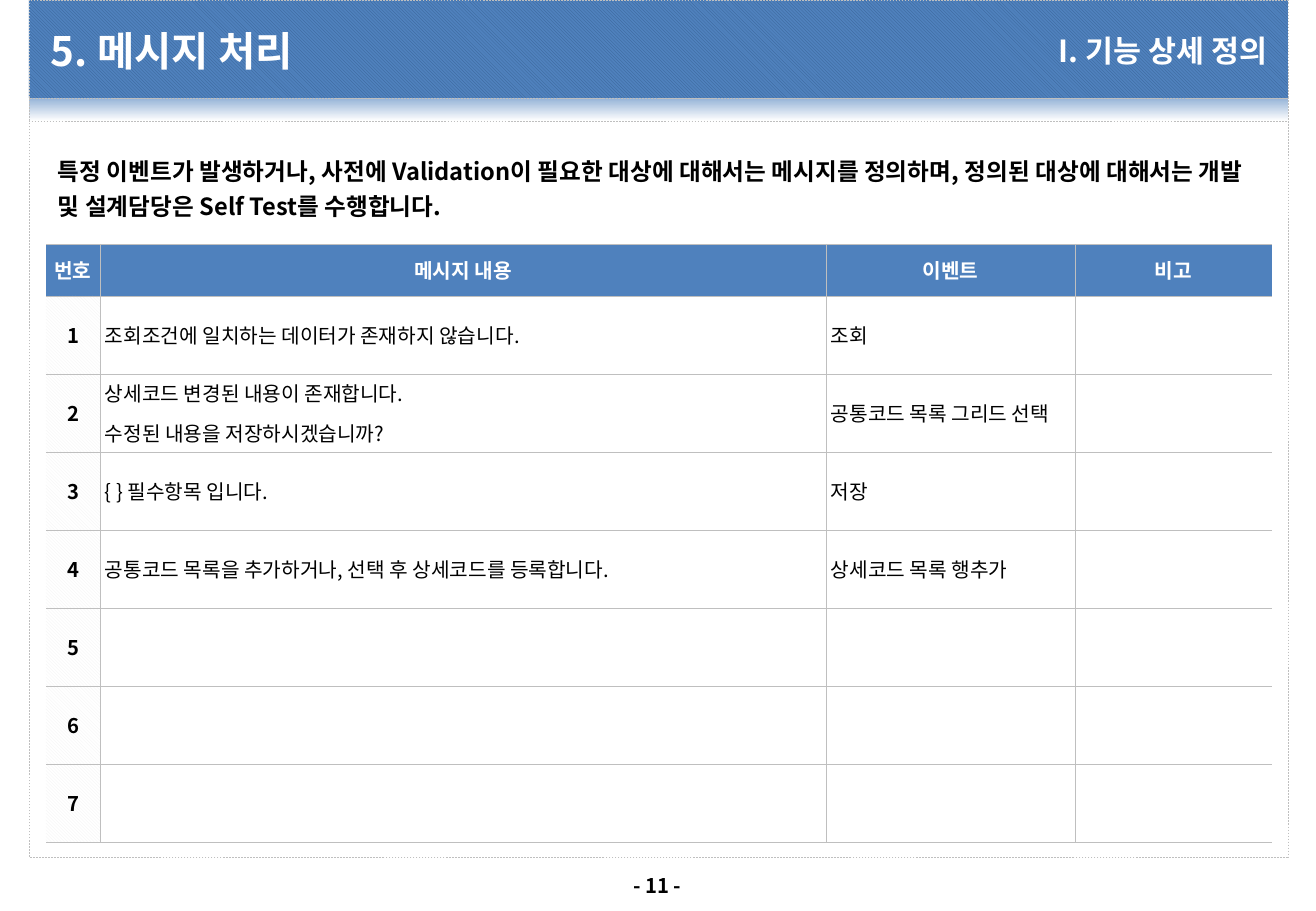
from lxml.etree import SubElement
from pptx import Presentation
from pptx.dml.color import RGBColor
from pptx.enum.dml import MSO_LINE, MSO_PATTERN
from pptx.enum.shapes import MSO_SHAPE
from pptx.enum.text import MSO_ANCHOR, PP_ALIGN
from pptx.oxml.ns import qn
from pptx.util import Pt

# Content
TITLE = "5. 메시지 처리"
CHAPTER = "I. 기능 상세 정의"
INTRO = ("특정 이벤트가 발생하거나, 사전에 Validation이 필요한 대상에 대해서는 메시지를 정의하며, "
         "정의된 대상에 대해서는 개발 및 설계담당은 Self Test를 수행합니다.")
PAGE_NUMBER = "- 11 -"
HEADINGS = ("번호", "메시지 내용", "이벤트", "비고")
MESSAGES = [
    ("조회조건에 일치하는 데이터가 존재하지 않습니다.", "조회"),
    ("상세코드 변경된 내용이 존재합니다.\n수정된 내용을 저장하시겠습니까?", "공통코드 목록 그리드 선택"),
    ("{ } 필수항목 입니다.", "저장"),
    ("공통코드 목록을 추가하거나, 선택 후 상세코드를 등록합니다.", "상세코드 목록 행추가"),
    ("", ""),
    ("", ""),
    ("", ""),
]

# Style
FONT = "Noto Sans CJK KR"
WHITE = RGBColor(0xFF, 0xFF, 0xFF)
BLACK = RGBColor(0, 0, 0)
BLUE = RGBColor(0x4F, 0x81, 0xBD)
DARK_BLUE = RGBColor(0x37, 0x60, 0x92)
PALE_BLUE = RGBColor(0x95, 0xB3, 0xD7)
GRAY = RGBColor(0xBF, 0xBF, 0xBF)
PALE_GRAY = RGBColor(0xF2, 0xF2, 0xF2)
HAIRLINE = Pt(0.25)

# Layout in pixels
SLIDE_WIDTH, SLIDE_HEIGHT = 1316, 911
FRAME_LEFT, FRAME_WIDTH = 29, 1259
BAND_BOTTOM, SHADE_BOTTOM, FRAME_BOTTOM = 98, 121, 857
CONTENT_LEFT, CONTENT_TOP = 46, 141
COLUMN_WIDTHS = (54, 726, 249, 197)
CONTENT_WIDTH = sum(COLUMN_WIDTHS)
TABLE_TOP, HEADING_HEIGHT, ROW_HEIGHT = 244, 52, 78
INSET = 5


def px(pixels):
    return round(pixels * 914400 / 121.5)


def fill_pattern(fill, fore, back):
    fill.patterned()
    fill.pattern = MSO_PATTERN.LIGHT_DOWNWARD_DIAGONAL
    fill.fore_color.rgb = fore
    fill.back_color.rgb = back


def fill_solid(fill, color):
    fill.solid()
    fill.fore_color.rgb = color


def write(frame, text, size, color, bold=True, align=PP_ALIGN.LEFT):
    frame.text = text
    for paragraph in frame.paragraphs:
        paragraph.alignment = align
        for run in paragraph.runs:
            run.font.name = FONT
            run.font.size = Pt(size)
            run.font.bold = bold
            run.font.color.rgb = color
            SubElement(run.font._element, qn("a:ea"), typeface=FONT)


def add_panel(top, bottom):
    panel = slide.shapes.add_shape(MSO_SHAPE.RECTANGLE, px(FRAME_LEFT), px(top),
                                   px(FRAME_WIDTH), px(bottom - top))
    panel.shadow.inherit = False
    panel.line.color.rgb = GRAY
    panel.line.width = HAIRLINE
    panel.line.dash_style = MSO_LINE.DASH
    return panel


def add_text(box, text, size, color, align=PP_ALIGN.LEFT,
             margins=(INSET, INSET), anchor=MSO_ANCHOR.MIDDLE):
    frame = slide.shapes.add_textbox(*map(px, box)).text_frame
    frame.word_wrap = True
    frame.vertical_anchor = anchor
    frame.margin_left = frame.margin_right = px(margins[0])
    frame.margin_top = frame.margin_bottom = px(margins[1])
    write(frame, text, size, color, align=align)
    return frame


def set_borders(cell, column):
    """Rule every side except the outer left and right of the table."""
    hidden = {0: "L", len(HEADINGS) - 1: "R"}.get(column)
    properties = cell._tc.get_or_add_tcPr()
    for side in "LRTB":
        border = SubElement(properties, qn(f"a:ln{side}"), w=str(HAIRLINE))
        if side == hidden:
            SubElement(border, qn("a:noFill"))
        else:
            paint = SubElement(border, qn("a:solidFill"))
            SubElement(paint, qn("a:srgbClr"), val=str(GRAY))


presentation = Presentation()
presentation.slide_width = px(SLIDE_WIDTH)
presentation.slide_height = px(SLIDE_HEIGHT)
slide = presentation.slides.add_slide(presentation.slide_layouts[6])

# Page frame and header band
shade = add_panel(BAND_BOTTOM, SHADE_BOTTOM)
shade.fill.gradient()
shade.fill.gradient_angle = 270
for stop, color, position in zip(shade.fill.gradient_stops, (PALE_BLUE, WHITE), (0, 1)):
    stop.color.rgb = color
    stop.position = position
fill_solid(add_panel(SHADE_BOTTOM, FRAME_BOTTOM).fill, WHITE)
fill_pattern(add_panel(0, BAND_BOTTOM).fill, DARK_BLUE, BLUE)

# Titles, introduction and page number
add_text((CONTENT_LEFT, 10, 813, 80), TITLE, 24, WHITE)
add_text((859, 10, 413, 80), CHAPTER, 18, WHITE, PP_ALIGN.RIGHT)
intro = add_text((CONTENT_LEFT, CONTENT_TOP, CONTENT_WIDTH, TABLE_TOP - CONTENT_TOP),
                 INTRO, 14, BLACK, margins=(12, 10), anchor=MSO_ANCHOR.TOP)
intro.paragraphs[0].line_spacing = 1.22
add_text((607, 867, 100, 37), PAGE_NUMBER, 12, BLACK, PP_ALIGN.CENTER)

# Message table
rows = [HEADINGS] + [(str(number), message, event, "")
                     for number, (message, event) in enumerate(MESSAGES, 1)]
table = slide.shapes.add_table(
    len(rows), len(HEADINGS), px(CONTENT_LEFT), px(TABLE_TOP), px(CONTENT_WIDTH),
    px(HEADING_HEIGHT + ROW_HEIGHT * len(MESSAGES))).table
table.first_row = table.horz_banding = False
for column, width in zip(table.columns, COLUMN_WIDTHS):
    column.width = px(width)

for row, texts in enumerate(rows):
    is_heading = row == 0
    table.rows[row].height = px(HEADING_HEIGHT if is_heading else ROW_HEIGHT)
    for column, text in enumerate(texts):
        cell = table.cell(row, column)
        is_label = is_heading or column == 0
        set_borders(cell, column)
        if is_label and not is_heading:
            fill_pattern(cell.fill, PALE_GRAY, WHITE)
        else:
            fill_solid(cell.fill, BLUE if is_heading else WHITE)
        cell.vertical_anchor = MSO_ANCHOR.MIDDLE
        cell.margin_left = cell.margin_right = px(INSET)
        cell.margin_top = cell.margin_bottom = 0
        write(cell.text_frame, text, 12, WHITE if is_heading else BLACK, is_label,
              PP_ALIGN.CENTER if is_label else PP_ALIGN.LEFT)
        for paragraph in cell.text_frame.paragraphs[1:]:
            paragraph.space_before = Pt(6)

presentation.save("out.pptx")
